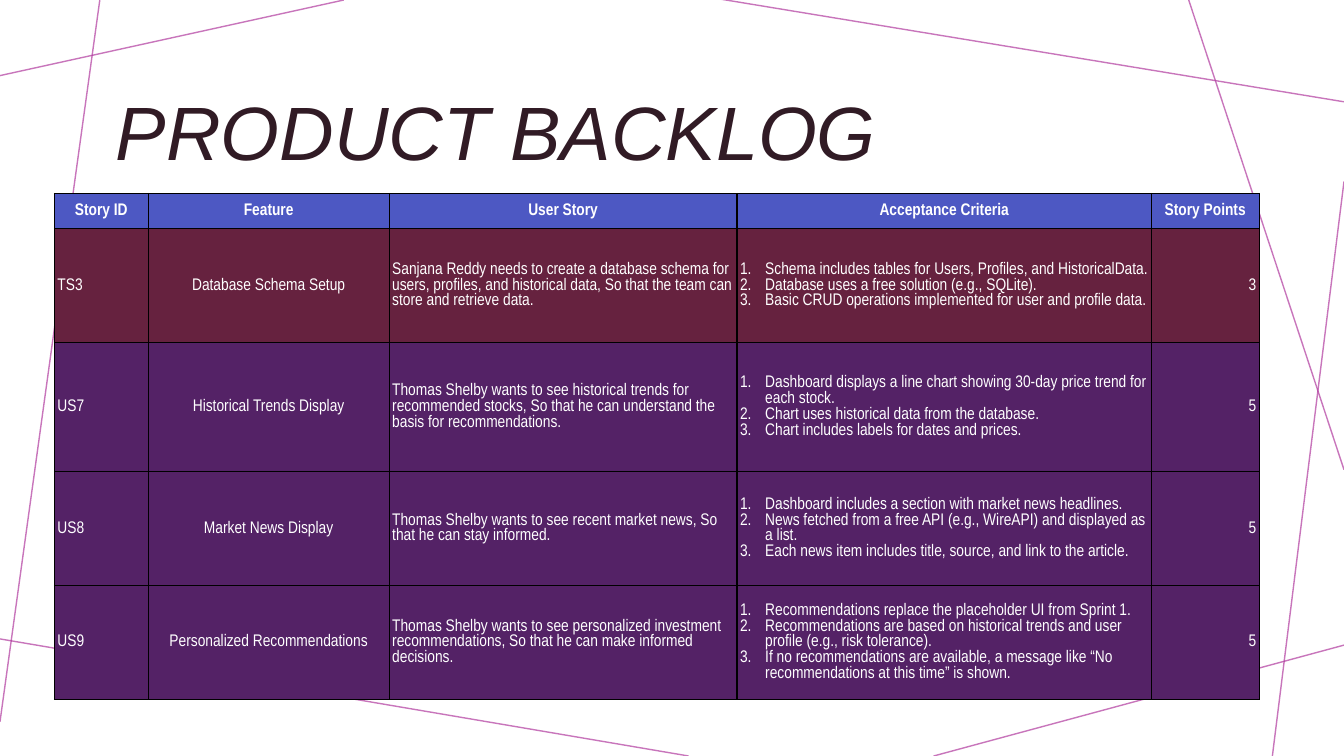
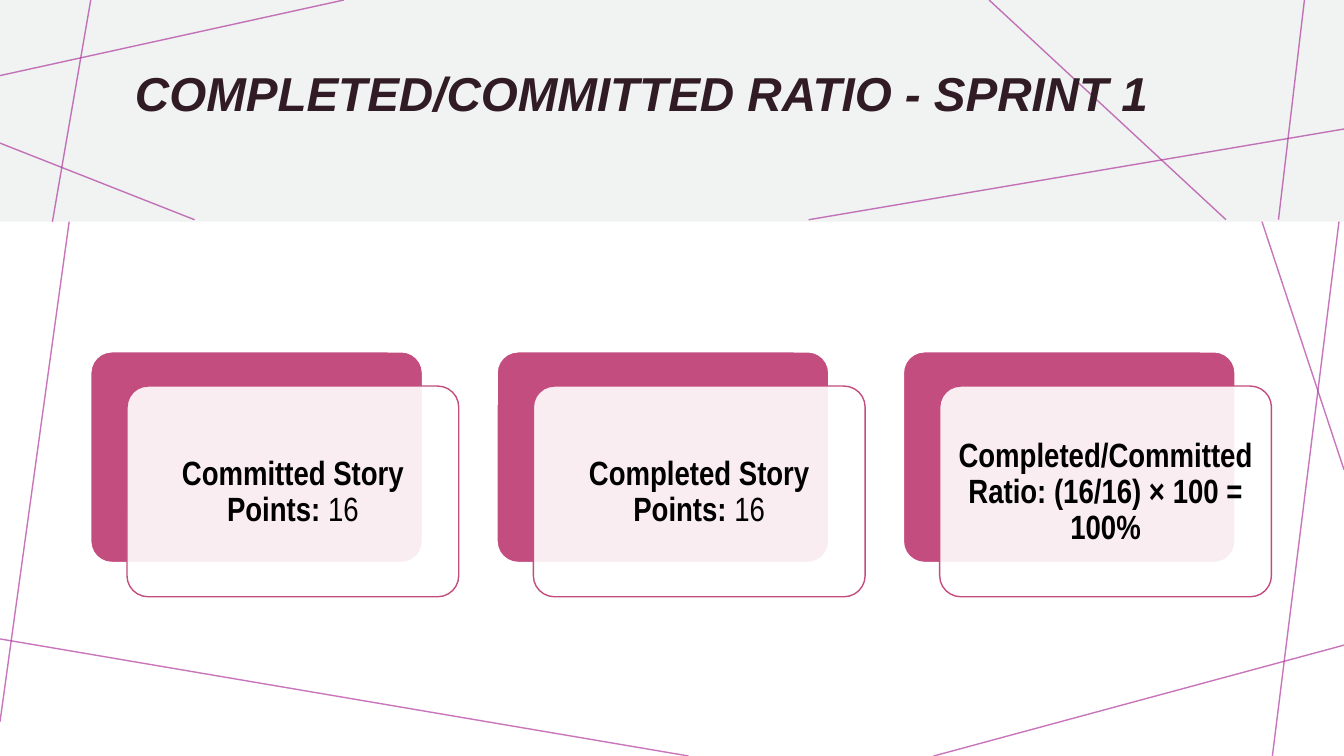
from lxml import etree
from pptx import Presentation
from pptx.dml.color import RGBColor
from pptx.enum import shapes, text
from pptx.oxml.ns import qn
from pptx.util import Inches, Pt

WHITE = RGBColor(0xFF, 0xFF, 0xFF)
BLACK = RGBColor(0, 0, 0)
INK = RGBColor(0x31, 0x1B, 0x25)
ORCHID = RGBColor(0xB1, 0x3B, 0x9F)
BAND = RGBColor(0xF0, 0xF3, 0xF2)
ROSE = RGBColor(0xC3, 0x4D, 0x7F)
HEADER_BLUE = RGBColor(0x4D, 0x58, 0xC3)
WINE = RGBColor(0x66, 0x22, 0x3F)
PLUM = RGBColor(0x54, 0x22, 0x66)
TITLE_FONT, BODY_FONT = "Arial", "Arial Narrow"
LEFT, CENTER, RIGHT = text.PP_ALIGN.LEFT, text.PP_ALIGN.CENTER, text.PP_ALIGN.RIGHT
MIDDLE, BOTTOM = text.MSO_ANCHOR.MIDDLE, text.MSO_ANCHOR.BOTTOM

# Lines: x1, y1, x2, y2
BACKDROP_LINES = [
    (3.41, 0, 0, 0.75), (0.99, 0, 0, 7.16), (6.83, 7.5, -0.05, 6.33),
    (13.33, 6.4, 9.26, 7.5), (13.33, 1.8, 12.62, 7.5),
    (13.33, 4.66, 11.79, 0), (13.33, 1.01, 7.14, -0.01),
]
BAND_LINES = [
    (3.41, 0, 0, 0.75), (0.9, 0, 0.52, 2.2), (1.93, 2.18, 0, 1.42),
    (13.33, 1.28, 8.02, 2.18), (12.16, 2.18, 9.81, 0), (12.94, -0.02, 12.68, 2.18),
]

HEADERS = ["Story ID", "Feature", "User Story", "Acceptance Criteria", "Story Points"]
COL_WIDTHS = [0.93, 2.39, 3.45, 4.11, 1.07]
ROW_HEIGHTS = [0.35, 1.13, 1.28, 1.13, 1.13]
COL_ALIGN = [LEFT, CENTER, LEFT, LEFT, RIGHT]
CRITERIA_COL = HEADERS.index("Acceptance Criteria")
STORIES = [
    ("TS3", "Database Schema Setup",
     "Sanjana Reddy needs to create a database schema for users, profiles, and "
     "historical data, So that the team can store and retrieve data.",
     ["Schema includes tables for Users, Profiles, and HistoricalData.",
      "Database uses a free solution (e.g., SQLite).",
      "Basic CRUD operations implemented for user and profile data."], "3"),
    ("US7", "Historical Trends Display",
     "Thomas Shelby wants to see historical trends for recommended stocks, "
     "So that he can understand the basis for recommendations.",
     ["Dashboard displays a line chart showing 30-day price trend for each stock.",
      "Chart uses historical data from the database.",
      "Chart includes labels for dates and prices."], "5"),
    ("US8", "Market News Display",
     "Thomas Shelby wants to see recent market news, So that he can stay informed.",
     ["Dashboard includes a section with market news headlines.",
      "News fetched from a free API (e.g., WireAPI) and displayed as a list.",
      "Each news item includes title, source, and link to the article."], "5"),
    ("US9", "Personalized Recommendations",
     "Thomas Shelby wants to see personalized investment recommendations, "
     "So that he can make informed decisions.",
     ["Recommendations replace the placeholder UI from Sprint 1.",
      "Recommendations are based on historical trends and user profile "
      "(e.g., risk tolerance).",
      "If no recommendations are available, a message like “No recommendations "
      "at this time” is shown."], "5"),
]
# Cards: bold label, regular value
CARDS = [
    ("Committed Story Points:", " 16"),
    ("Completed Story Points:", " 16"),
    ("Completed/Committed Ratio: (16/16) × 100 = 100%", ""),
]


def add_run(p, words, size, color, font=BODY_FONT, bold=False, italic=False):
    r = p.add_run()
    r.text = words
    f = r.font
    f.name, f.size, f.bold, f.italic = font, Pt(size), bold, italic
    f.color.rgb = color


def add_lines(s, lines):
    for ends in lines:
        line = s.shapes.add_connector(
            shapes.MSO_CONNECTOR.STRAIGHT, *[Inches(v) for v in ends])
        line.line.color.rgb = ORCHID
        line.line.width = Pt(1)
        set_alpha(line, 70)
        etree.SubElement(line._element.spPr, qn("a:effectLst"))


def set_alpha(sp, percent):
    """Make the first solid colour of a shape (fill, or line if no fill) see-through."""
    color = sp._element.spPr.find(".//" + qn("a:srgbClr"))
    etree.SubElement(color, qn("a:alpha")).set("val", str(percent * 1000))


def add_box(s, kind, box, fill, line=None):
    sp = s.shapes.add_shape(kind, *[Inches(v) for v in box])
    sp.shadow.inherit = False
    sp.fill.solid()
    sp.fill.fore_color.rgb = fill
    if line is None:
        sp.line.fill.background()
    else:
        sp.line.color.rgb = line
        sp.line.width = Pt(1)
    return sp


def add_text_frame(s, box, anchor):
    tf = s.shapes.add_textbox(*[Inches(v) for v in box]).text_frame
    tf.word_wrap = True
    tf.vertical_anchor = anchor
    tf.paragraphs[0].line_spacing = 0.9
    return tf


def add_title(s, words, box, size, anchor, bold=False):
    tf = add_text_frame(s, box, anchor)
    add_run(tf.paragraphs[0], words, size, INK, TITLE_FONT, bold, italic=True)
    return tf


def add_slide(prs):
    s = prs.slides.add_slide(prs.slide_layouts[6])
    add_lines(s, BACKDROP_LINES)
    return s


def number_paragraph(p):
    pPr = p._p.get_or_add_pPr()
    pPr.set("marL", str(Inches(0.25)))
    pPr.set("indent", str(-Inches(0.25)))
    etree.SubElement(pPr, qn("a:buFont")).set("typeface", "+mj-lt")
    etree.SubElement(pPr, qn("a:buAutoNum")).set("type", "arabicPeriod")


def border_cell(cell):
    """Draw black 1 pt edges; they must come before the fill."""
    tcPr = cell._tc.get_or_add_tcPr()
    for edge in ("lnL", "lnR", "lnT", "lnB"):
        ln = etree.SubElement(tcPr, qn("a:" + edge), w=str(Pt(1)))
        fill = etree.SubElement(ln, qn("a:solidFill"))
        etree.SubElement(fill, qn("a:srgbClr"), val=str(BLACK))


def fill_cell(cell, content, fill, align, header=False, numbered=False):
    border_cell(cell)
    cell.fill.solid()
    cell.fill.fore_color.rgb = fill
    cell.vertical_anchor = MIDDLE
    cell.margin_left = cell.margin_right = Inches(0.02 if header else 0.03)
    cell.margin_top = cell.margin_bottom = Inches(0.01 if header else 0.02)
    tf = cell.text_frame
    for i, words in enumerate(content if numbered else [content]):
        p = tf.add_paragraph() if i else tf.paragraphs[0]
        if numbered:
            number_paragraph(p)
        p.alignment = align
        add_run(p, words, 12, WHITE, bold=header)


def build_backlog(prs):
    s = add_slide(prs)
    add_title(s, "PRODUCT BACKLOG", (1.05, 0.59, 10.46, 1.21), 54, BOTTOM)
    box = (0.54, 1.92, sum(COL_WIDTHS), sum(ROW_HEIGHTS))
    table = s.shapes.add_table(
        len(ROW_HEIGHTS), len(COL_WIDTHS), *[Inches(v) for v in box]).table
    for col, width in zip(table.columns, COL_WIDTHS):
        col.width = Inches(width)
    for row, height in zip(table.rows, ROW_HEIGHTS):
        row.height = Inches(height)
    for c, words in enumerate(HEADERS):
        fill_cell(table.cell(0, c), words, HEADER_BLUE, CENTER, header=True)
    for r, story in enumerate(STORIES, 1):
        fill = WINE if story[0].startswith("TS") else PLUM
        for c, content in enumerate(story):
            fill_cell(table.cell(r, c), content, fill, COL_ALIGN[c],
                      numbered=c == CRITERIA_COL)


def build_ratio(prs):
    s = add_slide(prs)
    add_box(s, shapes.MSO_SHAPE.RECTANGLE, (0, 0, 13.33, 2.2), BAND)
    add_lines(s, BAND_LINES)
    tf = add_title(s, "COMPLETED/COMMITTED RATIO - SPRINT 1",
                   (1.24, 0.54, 11.01, 1.34), 34, MIDDLE, bold=True)
    tf.margin_bottom = Inches(0.56)

    width, height, pitch = 3.29, 2.09, 4.03
    rounded = shapes.MSO_SHAPE.ROUNDED_RECTANGLE
    for i, (label, value) in enumerate(CARDS):
        x = 0.9 + i * pitch
        back = add_box(s, rounded, (x, 3.49, width, height), ROSE, WHITE)
        front = add_box(s, rounded, (x + 0.36, 3.83, width, height), WHITE, ROSE)
        back.adjustments[0] = front.adjustments[0] = 0.1
        set_alpha(front, 90)
        tf = add_text_frame(s, (x + 0.42, 3.9, width - 0.12, height - 0.12), MIDDLE)
        tf.margin_left = tf.margin_right = tf.margin_top = tf.margin_bottom = Inches(0.1)
        p = tf.paragraphs[0]
        p.alignment = CENTER
        add_run(p, label, 24, BLACK, bold=True)
        if value:
            add_run(p, value, 24, BLACK)


def main():
    prs = Presentation()
    prs.slide_width, prs.slide_height = Inches(13.33), Inches(7.5)
    build_backlog(prs)
    build_ratio(prs)
    prs.save("out.pptx")


if __name__ == "__main__":
    main()
